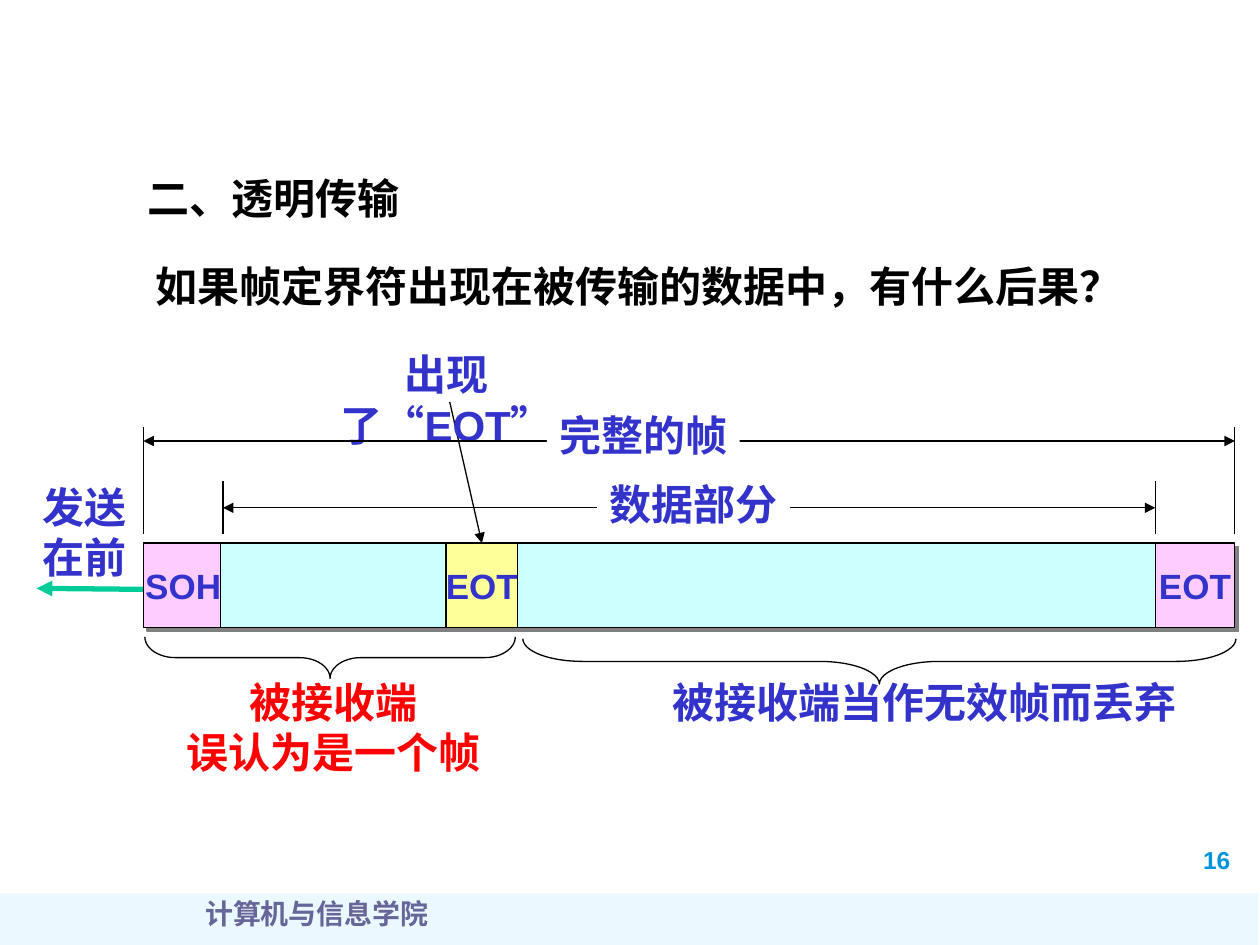
from lxml import etree
from pptx import Presentation
from pptx.dml.color import RGBColor
from pptx.enum.shapes import MSO_CONNECTOR, MSO_SHAPE
from pptx.enum.text import MSO_ANCHOR, PP_ALIGN
from pptx.oxml.ns import qn
from pptx.util import Pt

RECTANGLE, BRACE = MSO_SHAPE.RECTANGLE, MSO_SHAPE.LEFT_BRACE
STRAIGHT = MSO_CONNECTOR.STRAIGHT
TOP, MIDDLE = MSO_ANCHOR.TOP, MSO_ANCHOR.MIDDLE
LEFT, CENTER, JUSTIFY = PP_ALIGN.LEFT, PP_ALIGN.CENTER, PP_ALIGN.JUSTIFY

THEME = {
    "font": "Arial", "footer_font": "Times New Roman",
    "body": 24, "cell": 20, "footer": 16, "number": 14,
    "black": "000000", "blue": "3333CC", "red": "FF0000", "green": "00CC99",
    "pink": "FFCCFF", "cyan": "CCFFFF", "yellow": "FFFF99", "white": "FFFFFF",
    "shadow": "808080", "band": "A7E2FF", "footer_text": "666699",
    "number_text": "0094DE", "hairline": 0.75, "thick": 3,
}

# Frame geometry shared by cells, ticks and dimension lines
FRAME_LEFT, FRAME_RIGHT = 82, 705.6
DATA_LEFT, DATA_RIGHT = 127.4, 660.2
CELL_TOP, CELL_HEIGHT = 310.4, 48.2
TICK_BOTTOM = 305.3

# Content: text, left, top, width, height, alignment, colour, wrap
TITLE = "二、透明传输"
LABELS = [
    (["如果帧定界符出现在被传输的数据中，有什么后果？"], 82, 145.4, 572.4, 36, LEFT, "black", True),
    (["被接收端当作无效帧而丢弃"], 377.3, 383, 302.4, 36, JUSTIFY, "blue", False),
    (["被接收端", "误认为是一个帧"], 99.4, 383, 182.2, 65, CENTER, "red", False),
    (["出现了“EOT”"], 179.3, 195.8, 151.9, 36, CENTER, "blue", True),
    (["发送", "在前"], 17.3, 271.4, 62.6, 65, LEFT, "blue", False),
]
# Cells: text, left, right, fill, shadow
CELLS = [
    ("SOH", FRAME_LEFT, DATA_LEFT, "pink", True),
    ("", 126, 673.2, "cyan", True),
    ("EOT", 254.9, 295.9, "yellow", False),
    ("EOT", DATA_RIGHT, FRAME_RIGHT, "pink", True),
]
# Dimensions: label, left, right, line height, tick top, label left, label top
DIMENSIONS = [
    ("数据部分", DATA_LEFT, DATA_RIGHT, 290.2, 275, 341.3, 270),
    ("完整的帧", FRAME_LEFT, FRAME_RIGHT, 252, 244.1, 312.5, 230.4),
]
# Braces: left, top, span, depth, curvature
BRACES = [(82.8, 363.9, 211.7, 23.8, 0.735), (298.8, 365, 407.5, 25.9, 1.319)]


def color(name):
    return RGBColor.from_string(THEME[name])


def write(shape, lines, size, ink, align=LEFT, wrap=False, anchor=TOP, font="font"):
    frame = shape.text_frame
    frame.word_wrap, frame.vertical_anchor = wrap, anchor
    for index, line in enumerate(lines):
        para = frame.paragraphs[0] if index == 0 else frame.add_paragraph()
        para.text, para.alignment = line, align
        para.font.name, para.font.size = THEME[font], Pt(THEME[size])
        para.font.bold, para.font.color.rgb = True, color(ink)


def add_text(page, left, top, width, height, lines, *style, **options):
    box = page.shapes.add_textbox(Pt(left), Pt(top), Pt(width), Pt(height))
    write(box, lines, *style, **options)


def add_box(page, kind, left, top, width, height, fill=None, outlined=True):
    shape = page.shapes.add_shape(kind, Pt(left), Pt(top), Pt(width), Pt(height))
    shape.shadow.inherit = False
    if fill:
        shape.fill.solid()
        shape.fill.fore_color.rgb = color(fill)
    else:
        shape.fill.background()
    if outlined:
        shape.line.color.rgb = color("black")
        shape.line.width = Pt(THEME["hairline"])
    else:
        shape.line.fill.background()
    return shape


def add_shadow(shape):
    effects = shape._element.spPr.find(qn("a:effectLst"))
    outer = etree.SubElement(effects, qn("a:outerShdw"), dist=str(Pt(2.8)),
                             dir="2700000", algn="ctr", rotWithShape="0")
    etree.SubElement(outer, qn("a:srgbClr"), val=THEME["shadow"])


def add_line(page, x1, y1, x2, y2, ends=(), ink="black", weight="hairline"):
    line = page.shapes.add_connector(STRAIGHT, Pt(x1), Pt(y1), Pt(x2), Pt(y2))
    line.line.color.rgb = color(ink)
    line.line.width = Pt(THEME[weight])
    for end in ends:
        etree.SubElement(line.line._get_or_add_ln(), qn(end), type="triangle")
    etree.SubElement(line._element.spPr, qn("a:effectLst"))
    return line


def build():
    deck = Presentation()
    deck.slide_width, deck.slide_height = Pt(720), Pt(540)
    page = deck.slides.add_slide(deck.slide_layouts[5])

    # Title
    title = page.shapes.title
    title.left, title.top, title.width, title.height = Pt(77), Pt(95), Pt(180.7), Pt(36)
    write(title, [TITLE], "body", "black", wrap=True)

    # Footer band, page number and department
    band = add_box(page, RECTANGLE, -0.7, 510.5, 720, 31.7, "band", outlined=False)
    tint = band._element.spPr.find(qn("a:solidFill"))[0]
    etree.SubElement(tint, qn("a:alpha"), val="21000")
    add_text(page, 680.4, 479.5, 42.5, 23.8, ["16"], "number", "number_text", wrap=True)
    add_text(page, 19.4, 509, 323.3, 36, ["计算机与信息学院"], "footer", "footer_text",
             CENTER, wrap=True, font="footer_font")

    # Braces under the frame: upright shapes turned about their centres
    for left, top, span, depth, curve in BRACES:
        brace = add_box(page, BRACE, left + (span - depth) / 2,
                        top + (depth - span) / 2, depth, span)
        brace.rotation = 270
        brace.adjustments[0] = curve

    # Sending direction, tucked behind the first cell
    add_line(page, 104.4, 337, 20.9, 336.2, ["a:tailEnd"], "green", "thick")

    # Frame cells
    cells = []
    for text, left, right, fill, shadowed in CELLS:
        cell = add_box(page, RECTANGLE, left, CELL_TOP, right - left, CELL_HEIGHT, fill)
        if text:
            write(cell, [text], "cell", "blue", CENTER, anchor=MIDDLE)
        if shadowed:
            add_shadow(cell)
        cells.append(cell)

    # Pointer to the stray delimiter
    pointer = add_line(page, 257, 229.7, 275.4, CELL_TOP, ["a:tailEnd"])
    pointer.end_connect(cells[2], 0)

    # Free labels
    for lines, left, top, width, height, align, ink, wrap in LABELS:
        add_text(page, left, top, width, height, lines, "body", ink, align, wrap)

    # Dimension lines with end ticks and a label over the middle
    for text, left, right, height, tick_top, label_left, label_top in DIMENSIONS:
        add_line(page, left, height, right, height, ["a:headEnd", "a:tailEnd"])
        label = add_box(page, RECTANGLE, label_left, label_top, 110.2, 36, "white", outlined=False)
        write(label, [text], "body", "blue", CENTER)
        for x in (left, right):
            add_line(page, x, tick_top, x, TICK_BOTTOM)

    deck.save("out.pptx")


if __name__ == "__main__":
    build()
